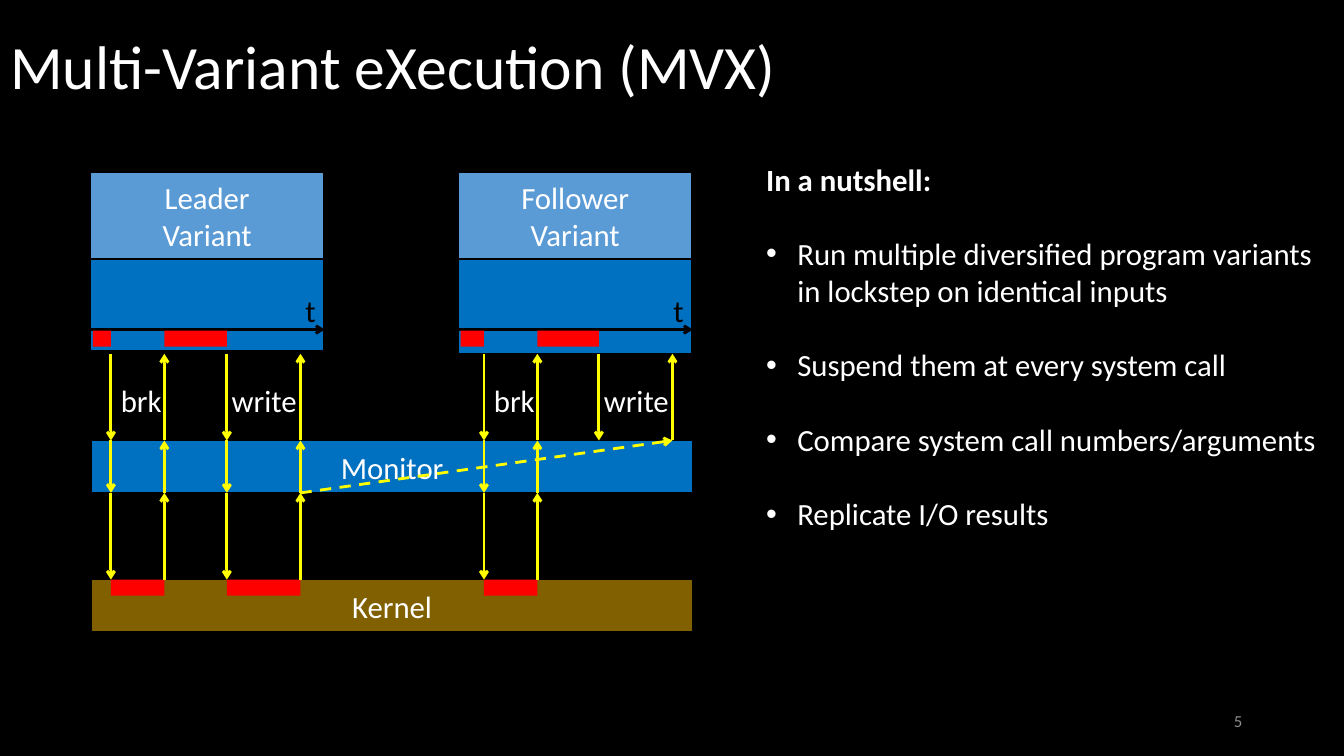
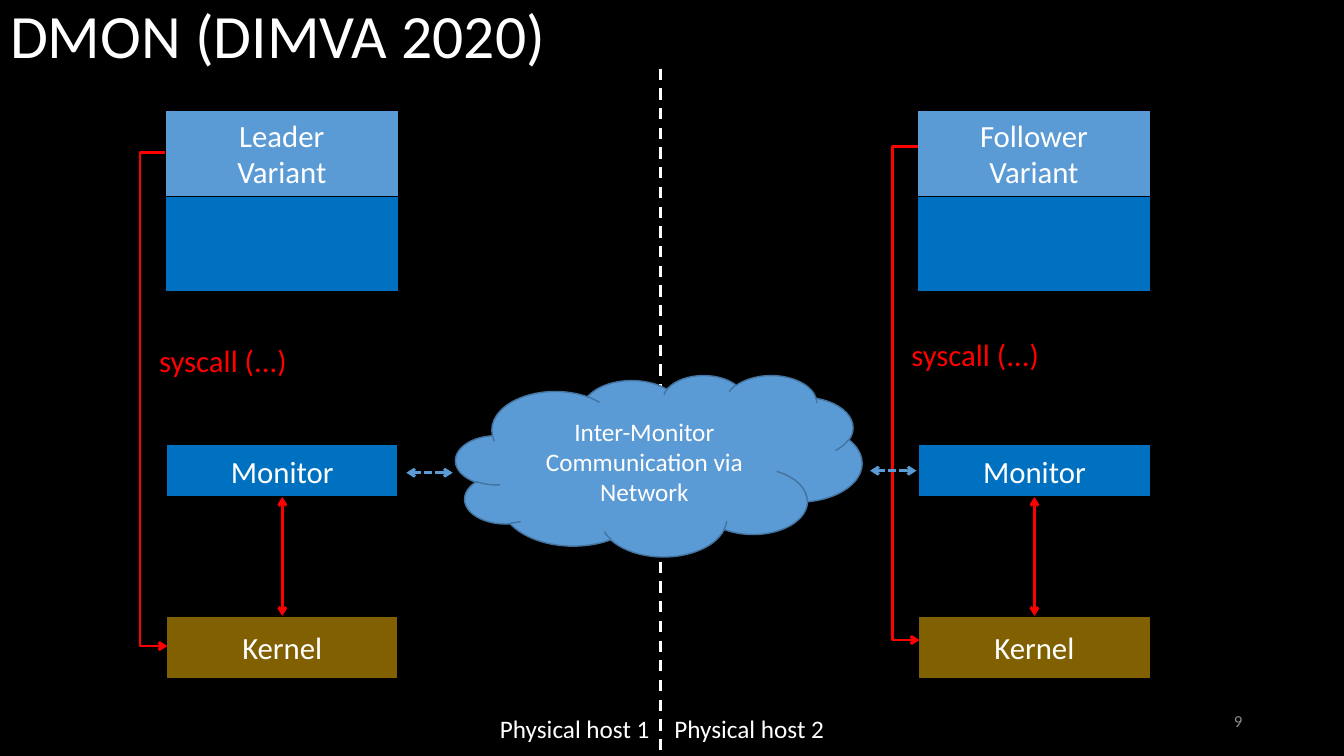
from dataclasses import dataclass

from pptx import Presentation
from pptx.dml.color import RGBColor
from pptx.enum.dml import MSO_LINE
from pptx.enum.shapes import MSO_CONNECTOR, MSO_SHAPE
from pptx.enum.text import MSO_ANCHOR, PP_ALIGN
from pptx.oxml.ns import qn
from pptx.oxml.xmlchemy import OxmlElement
from pptx.util import Inches, Pt


@dataclass(frozen=True)
class Theme:
    font: str = "Calibri"
    black: str = "000000"
    white: str = "FFFFFF"
    grey: str = "8C8C8C"
    blue: str = "0070C0"
    sky: str = "5B9BD5"
    outline: str = "43739E"
    brown: str = "806000"
    red: str = "FF0000"
    yellow: str = "FFFF00"
    title: int = 44
    body: int = 22
    note: int = 18
    number: int = 12
    gap: float = 26.8


T = Theme()


def box(s, x, y, w, h, text="", fill=None, edge=None, kind=MSO_SHAPE.RECTANGLE,
        size=T.body, color=T.white, align=None, anchor=MSO_ANCHOR.TOP, wrap=False):
    at = [Inches(v) for v in (x, y, w, h)]
    if fill:
        sp = s.shapes.add_shape(kind, *at)
        sp.shadow.inherit = False
        sp.fill.solid()
        sp.fill.fore_color.rgb = RGBColor.from_string(fill)
        if edge:
            sp.line.color.rgb = RGBColor.from_string(edge)
            sp.line.width = Pt(1)
        else:
            sp.line.fill.background()
        align, anchor, wrap = PP_ALIGN.CENTER, MSO_ANCHOR.MIDDLE, True
    else:
        sp = s.shapes.add_textbox(*at)
    tf = sp.text_frame
    tf.text = text
    for name, value in {"word_wrap": wrap, "vertical_anchor": anchor}.items():
        setattr(tf, name, value)
    for p in tf.paragraphs:
        p.alignment = align
        for r in p.runs:
            for name, value in {"name": T.font, "size": Pt(size)}.items():
                setattr(r.font, name, value)
            r.font.color.rgb = RGBColor.from_string(color)
    return sp


def link(s, x1, y1, x2, y2, color, ends=("tail",), dash=None, kind=MSO_CONNECTOR.STRAIGHT):
    c = s.shapes.add_connector(kind, *[Inches(v) for v in (x1, y1, x2, y2)])
    for name, value in {"width": Pt(2), "dash_style": dash}.items():
        setattr(c.line, name, value)
    c.line.color.rgb = RGBColor.from_string(color)
    spPr = c._element.spPr
    for end in ends:
        arrow = OxmlElement(f"a:{end}End")
        arrow.set("type", "arrow")
        spPr.find(qn("a:ln")).append(arrow)
    spPr.append(OxmlElement("a:effectLst"))
    return c


prs = Presentation()
prs.slide_width, prs.slide_height = Inches(13.33), Inches(7.5)
bg = prs.slide_master.background.fill
bg.solid()
bg.fore_color.rgb = RGBColor.from_string(T.black)

for heading, anchor, number in [
    ("Multi-Variant eXecution (MVX)", MSO_ANCHOR.MIDDLE, "5"),
    ("DMON (DIMVA 2020)", MSO_ANCHOR.TOP, "9"),
]:
    s = prs.slides.add_slide(prs.slide_layouts[5])
    title = s.shapes.title
    place = {"left": 0, "top": 0, "width": 12.16, "height": 1.37}
    for name, value in place.items():
        setattr(title, name, Inches(value))
    tf = title.text_frame
    tf.text = heading
    tf.vertical_anchor = anchor
    p = tf.paragraphs[0]
    p.alignment, p.line_spacing = PP_ALIGN.LEFT, 0.9
    font = p.runs[0].font
    for name, value in {"name": T.font, "size": Pt(T.title)}.items():
        setattr(font, name, value)
    font.color.rgb = RGBColor.from_string(T.white)
    box(s, 9.42, 6.95, 3, 0.4, number, size=T.number, color=T.grey,
        align=PP_ALIGN.RIGHT, anchor=MSO_ANCHOR.MIDDLE, wrap=True)

mvx, dmon = prs.slides

levels = [3.51, 4.37, 4.89, 5.75]
for y, name, fill in [(levels[1], "Monitor", T.blue), (levels[3], "Kernel", T.brown)]:
    box(mvx, 0.91, y, 5.96, 0.52, name, fill, T.black)

for left, height, name, calls, write_depth in [
    (0.9, 1.77, "Leader", [1.1, 1.63, 2.25, 2.98], 4),
    (4.55, 1.8, "Follower", [4.8, 5.33, 5.94, 6.67], 2),
]:
    box(mvx, left, 1.71, 2.31, height, fill=T.blue, edge=T.black)
    box(mvx, left, 1.71, 2.31, 0.86, f"{name}\nVariant", T.sky, T.black)
    link(mvx, left, 3.27, left + 2.32, 3.27, T.black)
    box(mvx, left + 2.03, 2.85, 0.31, 0.47, "t", color=T.black)
    for start, stop in [(left + 0.02, calls[0]), (calls[1], calls[2])]:
        box(mvx, start, 3.28, stop - start, 0.16, fill=T.red)
    box(mvx, calls[0], 3.74, 0.61, 0.47, "brk")
    box(mvx, calls[2] - 0.05, 3.74, 0.85, 0.47, "write")
    for call, back, depth in [(*calls[:2], 4), (*calls[2:], write_depth)]:
        if depth == len(levels):
            box(mvx, call, levels[3], back - call, 0.16, fill=T.red)
        for top, bottom in zip(levels, levels[1:depth]):
            link(mvx, call, top, call, bottom, T.yellow)
            link(mvx, back, bottom, back, top, T.yellow)
link(mvx, 2.98, levels[2], 6.67, levels[1], T.yellow, dash=MSO_LINE.DASH)

summary = box(mvx, 7.5, 1.54, 5.71, 4.41, "\n".join([
    "In a nutshell:",
    "Run multiple diversified program variants in lockstep on identical inputs",
    "Suspend them at every system call",
    "Compare system call numbers/arguments",
    "Replicate I/O results",
]), wrap=True)
lead, *points = summary.text_frame.paragraphs
lead.runs[0].font.bold = True
for p in points:
    p.space_before = Pt(T.gap)
    pPr = p._p.get_or_add_pPr()
    for name, value in {"marL": 0.31, "indent": -0.31}.items():
        pPr.set(name, str(Inches(value)))
    for tag, name, value in [("a:buFont", "typeface", "Arial"), ("a:buChar", "char", "•")]:
        bullet = OxmlElement(tag)
        bullet.set(name, value)
        pPr.append(bullet)

link(dmon, 6.55, 0.68, 6.55, 7.45, T.white, ends=(), dash=MSO_LINE.DASH)
for x, name in [(4.86, "Physical host 1"), (6.59, "Physical host 2")]:
    box(dmon, x, 7.03, 1.72, 0.4, name, size=T.note)

both = ("head", "tail")
for left, name, call, network, y in [
    (1.64, "Leader", 1.51, 4.03, 4.69),
    (9.1, "Follower", 1.45, 8.63, 4.67),
]:
    box(dmon, left, 1.09, 2.31, 1.8, fill=T.blue, edge=T.black)
    box(dmon, left, 1.09, 2.31, 0.86, f"{name}\nVariant", T.sky, T.black)
    box(dmon, left + 0.01, 4.41, 2.3, 0.52, "Monitor", T.blue, T.black)
    box(dmon, left + 0.01, 6.11, 2.3, 0.62, "Kernel", T.brown, T.black)
    box(dmon, left - 0.16, call + 1.83, 1.48, 0.47, "syscall (...)", color=T.red)
    bypass = link(dmon, left, call, left + 0.02, call + 4.9, T.red, kind=MSO_CONNECTOR.ELBOW)
    bend = OxmlElement("a:gd")
    bend.set("name", "adj1")
    bend.set("fmla", "val -1250000")
    bypass._element.spPr.find(qn("a:prstGeom")).get_or_add_avLst().append(bend)
    link(dmon, left + 1.16, 6.11, left + 1.16, 4.93, T.red, both)
    link(dmon, network + 0.46, y, network, y, T.sky, both, MSO_LINE.SQUARE_DOT)

box(dmon, 4.52, 3.72, 4.03, 1.8, "Inter-Monitor Communication via Network",
    T.sky, T.outline, MSO_SHAPE.CLOUD, T.note)

prs.save("out.pptx")
